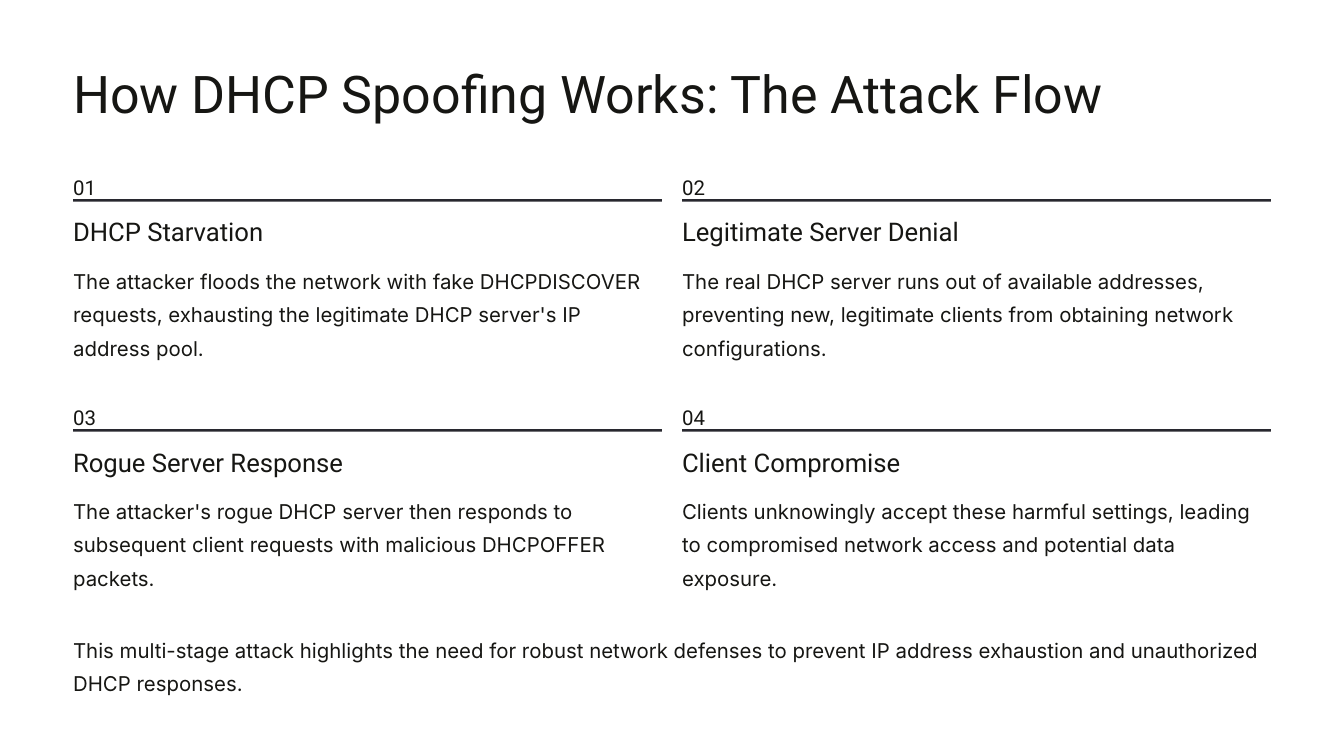
from pptx import Presentation
from pptx.dml.color import RGBColor
from pptx.enum.shapes import MSO_SHAPE
from pptx.enum.text import MSO_ANCHOR, MSO_AUTO_SIZE, PP_ALIGN
from pptx.util import Inches, Pt

COLORS = {"text": "161613", "rule": "28282F", "background": "FFFFFF"}

LEFT, COLUMN_STEP, COLUMN_WIDTH = 0.87, 7.25, 7.01
TOP, ROW_STEP = 1.98, 2.74

# heading, width of the heading box, description
STEPS = [
    ("DHCP Starvation", 3.1,
     "The attacker floods the network with fake DHCPDISCOVER requests, "
     "exhausting the legitimate DHCP server's IP address pool."),
    ("Legitimate Server Denial", 3.54,
     "The real DHCP server runs out of available addresses, preventing new, "
     "legitimate clients from obtaining network configurations."),
    ("Rogue Server Response", 3.41,
     "The attacker's rogue DHCP server then responds to subsequent client "
     "requests with malicious DHCPOFFER packets."),
    ("Client Compromise", 3.1,
     "Clients unknowingly accept these harmful settings, leading to "
     "compromised network access and potential data exposure."),
]


def write_text(box, text, font, size, line_height, wrap=False):
    """Fill a box with one left-aligned paragraph, without margins."""
    frame = box.text_frame
    frame.text = text
    frame.word_wrap = wrap
    frame.auto_size = MSO_AUTO_SIZE.NONE
    frame.vertical_anchor = MSO_ANCHOR.TOP
    frame.margin_left = frame.margin_right = 0
    frame.margin_top = frame.margin_bottom = 0
    para = frame.paragraphs[0]
    para.alignment = PP_ALIGN.LEFT
    para.line_spacing = Pt(line_height)
    span = para.runs[0]
    span.font.name = font
    span.font.size = Pt(size)
    span.font.color.rgb = RGBColor.from_string(COLORS["text"])


def add_box(left, top, width, height):
    return page.shapes.add_textbox(
        Inches(left), Inches(top), Inches(width), Inches(height))


deck = Presentation()
deck.slide_width, deck.slide_height = Inches(16), Inches(9)
page = deck.slides.add_slide(deck.slide_layouts[5])
page.background.fill.solid()
page.background.fill.fore_color.rgb = RGBColor.from_string(COLORS["background"])

title = page.shapes.title
title.left, title.top = Inches(LEFT), Inches(0.71)
title.width, title.height = Inches(12.77), Inches(0.78)
write_text(title, "How DHCP Spoofing Works: The Attack Flow", "Roboto", 44.5, 55.5)

for index, (heading, heading_width, description) in enumerate(STEPS):
    row, column = divmod(index, 2)
    left = LEFT + column * COLUMN_STEP
    top = TOP + row * ROW_STEP

    number_box = add_box(left, top, 0.25, 0.31)
    write_text(number_box, f"{index + 1:02}", "Roboto", 17.5, 28.5)

    rule = page.shapes.add_shape(
        MSO_SHAPE.RECTANGLE, Inches(left), Inches(top + 0.39),
        Inches(COLUMN_WIDTH), Inches(0.03))
    rule.shadow.inherit = False
    rule.fill.solid()
    rule.fill.fore_color.rgb = RGBColor.from_string(COLORS["rule"])
    rule.line.fill.background()

    heading_box = add_box(left, top + 0.58, heading_width, 0.39)
    write_text(heading_box, heading, "Roboto", 22, 27.5)

    description_box = add_box(left, top + 1.12, COLUMN_WIDTH, 1.19)
    write_text(description_box, description, "Inter", 17.5, 28.5, wrap=True)

summary_box = add_box(LEFT, 7.49, COLUMN_STEP + COLUMN_WIDTH, 0.79)
write_text(
    summary_box,
    "This multi-stage attack highlights the need for robust network defenses "
    "to prevent IP address exhaustion and unauthorized DHCP responses.",
    "Inter", 17.5, 28.5, wrap=True)

deck.save("out.pptx")
